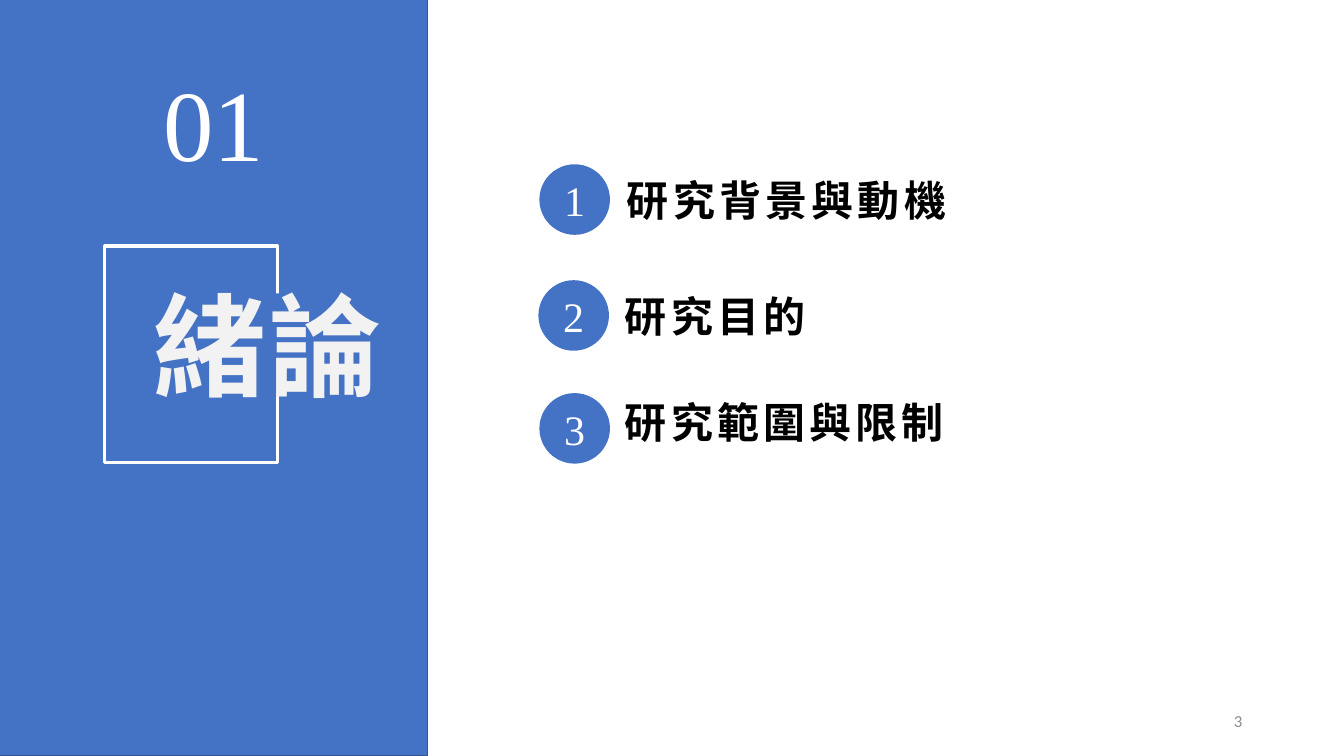
"""Build the section slide 緒論 with its three numbered topics."""
from lxml import etree
from pptx import Presentation
from pptx import util as u
from pptx.dml.color import RGBColor
from pptx.enum import shapes, text
from pptx.oxml.ns import qn

PX = 9144
COLORS = {"blue": "4472C4", "edge": "325491", "white": "FFFFFF",
          "pale": "F2F2F2", "black": "000000", "gray": "8C8C8C"}
CJK = "Noto Sans CJK SC"
SERIF = "Times New Roman"
LEFT, CENTER, RIGHT = text.PP_ALIGN.LEFT, text.PP_ALIGN.CENTER, text.PP_ALIGN.RIGHT


def add_box(kind, box, fill=None, line=None, width=1):
    shape = slide.shapes.add_shape(kind, *(n * PX for n in box))
    shape.shadow.inherit = False
    for part, color in ((shape.fill, fill), (shape.line.fill, line)):
        if color:
            part.solid()
            part.fore_color.rgb = RGBColor.from_string(COLORS[color])
        else:
            part.background()
    if line:
        shape.line.width = u.Pt(width)
    return shape


def write(shape, words, size, font, color, align=CENTER, anchor=text.MSO_ANCHOR.MIDDLE):
    frame = shape.text_frame
    frame.word_wrap = True
    frame.auto_size = text.MSO_AUTO_SIZE.NONE
    frame.vertical_anchor = anchor
    paragraph = frame.paragraphs[0]
    paragraph.text = words
    paragraph.alignment = align
    paragraph.font.size = u.Pt(size)
    paragraph.font.name = font
    paragraph.font.color.rgb = RGBColor.from_string(COLORS[color])
    if font == CJK:
        run = paragraph.runs[0]
        run.font.bold = True
        properties = run.font._element
        properties.set("spc", "300")
        etree.SubElement(properties, qn("a:ea"), typeface=CJK)


presentation = Presentation()
presentation.slide_width, presentation.slide_height = 1333 * PX, 750 * PX
slide = presentation.slides.add_slide(presentation.slide_layouts[5])
rectangle, oval = shapes.MSO_SHAPE.RECTANGLE, shapes.MSO_SHAPE.OVAL

add_box(rectangle, (-4, -10, 428, 760), "blue", "edge")
section_number = slide.shapes.add_textbox(0, 55 * PX, 424 * PX, 131 * PX)
write(section_number, "01", 72, SERIF, "white", anchor=text.MSO_ANCHOR.TOP)
add_box(rectangle, (104, 244, 171, 215), line="white", width=2.25)

title = slide.shapes.title
title.left, title.top, title.width, title.height = (n * PX for n in (129, 291, 273, 99))
title.fill.solid()
title.fill.fore_color.rgb = RGBColor.from_string(COLORS["blue"])
write(title, "緒論", 80, CJK, "pale")
slide.shapes._spTree.append(title._element)

topics = [("研究背景與動機", 612, 173, 535, 163),
          ("研究目的", 610, 288, 534, 278),
          ("研究範圍與限制", 610, 393, 535, 390)]
for number, (topic, left, top, disc_left, disc_top) in enumerate(topics, 1):
    label = slide.shapes.add_textbox(left * PX, top * PX, 341 * PX, 50 * PX)
    write(label, topic, 30, CJK, "black", LEFT)
    label.text_frame.margin_right = 0
    disc = add_box(oval, (disc_left, disc_top, 70, 70), "blue")
    write(disc, str(number), 30, SERIF, "white")

page_number = slide.shapes.add_textbox(942 * PX, 695 * PX, 300 * PX, 40 * PX)
write(page_number, "3", 12, "Calibri", "gray", RIGHT)

presentation.save("out.pptx")
